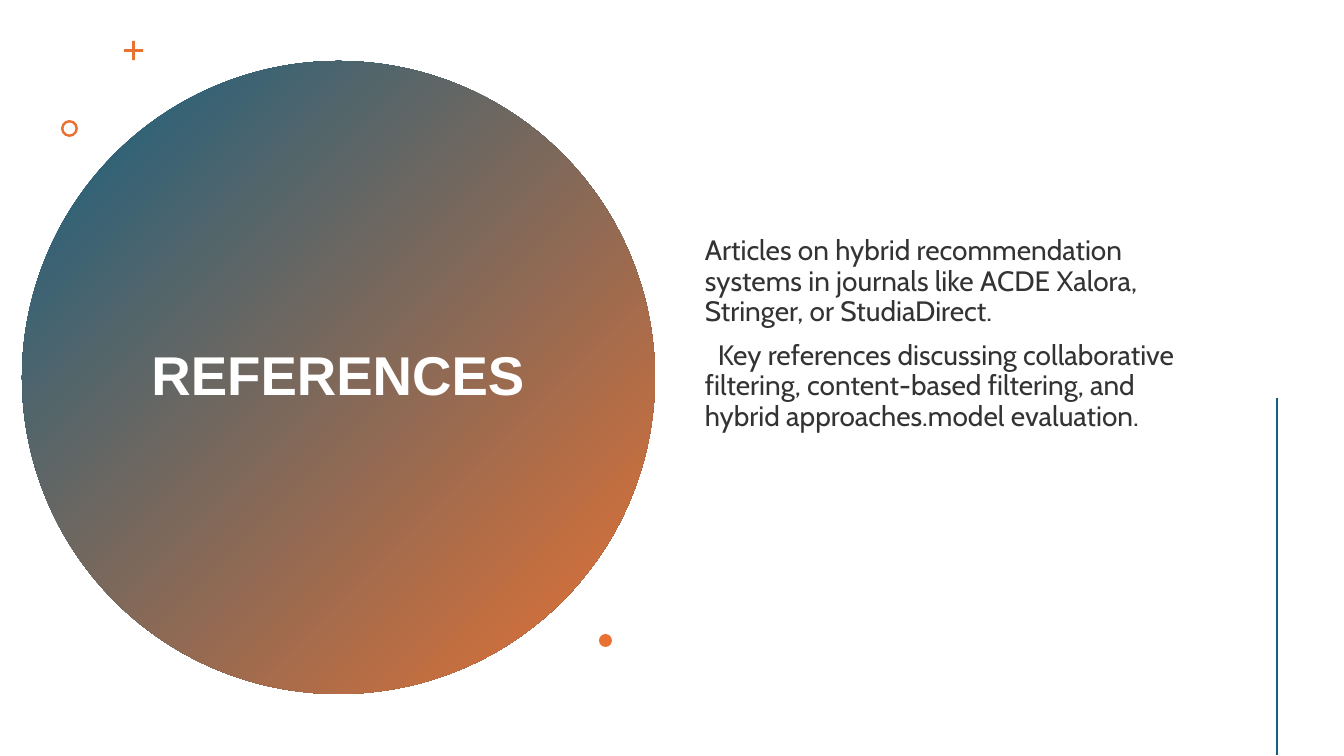
"""Build the references slide with its gradient circle and reading list."""
import pptx
import pptx.dml.color
import pptx.enum.shapes
import pptx.enum.text
import pptx.oxml
import pptx.oxml.ns
import pptx.util

COLORS = {"blue": "156082", "orange": "E97132", "white": "FFFFFF", "ink": "333333"}
SHAPES = pptx.enum.shapes.MSO_SHAPE
ALIGN = pptx.enum.text.PP_ALIGN


def px(length):
    return pptx.util.Emu(round(length * 914400 / 100.8))


def rgb(name):
    return pptx.dml.color.RGBColor.from_string(COLORS[name])


deck = pptx.Presentation()
deck.slide_width, deck.slide_height = px(1344), px(756)
slide = deck.slides.add_slide(deck.slide_layouts[6])

circle = slide.shapes.add_shape(SHAPES.OVAL, px(22), px(61), px(633), px(633))
circle.shadow.inherit = False
circle.line.fill.background()
circle.fill.gradient()
circle.fill.gradient_angle = 315
for stop, color in zip(circle.fill.gradient_stops, ("blue", "orange")):
    stop.color.rgb = rgb(color)

accents = [
    (SHAPES.CROSS, 124, 41, 19, 0.43),
    (SHAPES.DONUT, 61, 120, 17, 0.15),
    (SHAPES.OVAL, 599, 634, 13, None),
]
for kind, left, top, size, adjustment in accents:
    accent = slide.shapes.add_shape(kind, px(left), px(top), px(size), px(size))
    accent.shadow.inherit = False
    accent.fill.solid()
    accent.fill.fore_color.rgb = rgb("orange")
    accent.line.fill.background()
    if adjustment is not None:
        accent.adjustments[0] = adjustment

texts = [
    {
        "place": (137, 142, 402, 471),
        "bottom": 5,
        "font": {"name": "Arial", "size": pptx.util.Pt(39), "bold": True},
        "color": "white",
        "para": {"alignment": ALIGN.CENTER, "line_spacing": 0.9},
        "lines": [("REFERENCES", 0)],
    },
    {
        "place": (695, 57, 526, 643),
        "bottom": 93,
        "font": {"name": "Cabin", "size": pptx.util.Pt(20), "bold": False},
        "color": "ink",
        "para": {"alignment": ALIGN.LEFT, "line_spacing": 0.9, "space_before": pptx.util.Pt(10)},
        "lines": [
            ("Articles on hybrid recommendation systems in journals like ACDE Xalora, "
             "Stringer, or StudiaDirect.", 0),
            ("Key references discussing collaborative filtering, content-based filtering, "
             "and hybrid approaches.model evaluation.", 13),
        ],
    },
]
for text in texts:
    box = slide.shapes.add_textbox(*map(px, text["place"]))
    frame = box.text_frame
    frame.word_wrap = True
    frame.vertical_anchor = pptx.enum.text.MSO_ANCHOR.MIDDLE
    frame.margin_bottom = px(text["bottom"])
    for index, (words, indent) in enumerate(text["lines"]):
        para = frame.add_paragraph() if index else frame.paragraphs[0]
        for name, value in text["para"].items():
            setattr(para, name, value)
        if indent:
            para._p.get_or_add_pPr().set("indent", str(px(indent)))
        span = para.add_run()
        span.text = words
        for name, value in text["font"].items():
            setattr(span.font, name, value)
        span.font.color.rgb = rgb(text["color"])

rule = slide.shapes.add_connector(
    pptx.enum.shapes.MSO_CONNECTOR.STRAIGHT, px(1277), px(398), px(1277), px(755))
rule.line.color.rgb = rgb("blue")
rule.line.width = pptx.util.Pt(2)
rule._element.spPr.append(pptx.oxml.parse_xml(
    f"<a:effectLst {pptx.oxml.ns.nsdecls('a')}/>"))

deck.save("out.pptx")
